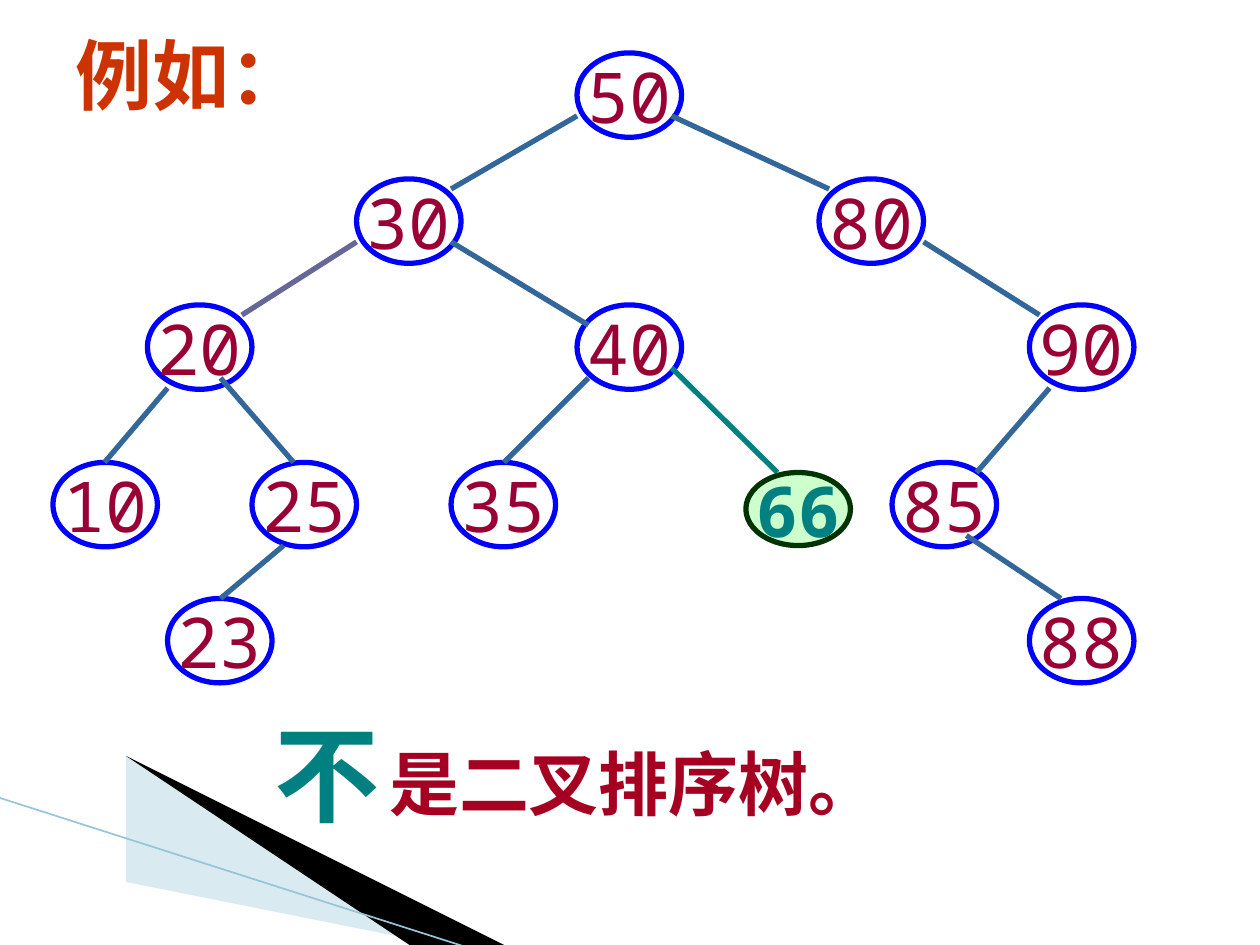
from lxml.etree import SubElement
from pptx import Presentation
from pptx.dml.color import RGBColor
from pptx.enum.shapes import MSO_CONNECTOR as Connector, MSO_SHAPE as Shape
from pptx.enum.text import MSO_ANCHOR as Anchor, MSO_AUTO_SIZE as AutoSize, PP_ALIGN as Align
from pptx.oxml.ns import qn
from pptx.util import Inches, Pt

# Content
HEADING = "例如："
NEGATION = "不"
CONCLUSION = "是二叉排序树。"

# Tree levels: top of the row, then (key, left) of each node
LEVELS = [
    (0.42, [("50", 4.58)]),
    (1.42, [("30", 2.83), ("80", 6.5)]),
    (2.42, [("20", 1.17), ("40", 4.58), ("90", 8.17)]),
    (3.67, [("10", 0.42), ("25", 2), ("35", 3.58), ("85", 7.08)]),
    (4.75, [("23", 1.33), ("88", 8.17)]),
]
MISPLACED = ("66", 5.92, 3.75)

# Branches: start, end, theme colour
BRANCHES = [
    ((4.58, 0.92), (3.58, 1.5), "branch"),
    ((2.83, 1.92), (1.92, 2.5), "branch_alt"),
    ((5.33, 0.92), (6.58, 1.5), "branch"),
    ((3.58, 1.92), (4.67, 2.58), "branch"),
    ((1.33, 3.08), (0.83, 3.67), "branch"),
    ((1.75, 3), (2.33, 3.67), "branch"),
    ((2.25, 4.33), (1.75, 4.75), "branch"),
    ((4.67, 3), (4, 3.67), "branch"),
    ((7.33, 1.92), (8.25, 2.5), "branch"),
    ((8.33, 3.08), (7.75, 3.75), "branch"),
    ((7.67, 4.25), (8.42, 4.75), "branch"),
    ((5.33, 2.92), (6.17, 3.75), "accent"),
]

# Corner decoration: outline points, theme colour, opacity in percent
SWOOSHES = [
    ([(0.55, 6.51), (5.95, 7.51), (4.56, 7.51), (0.55, 6.5)], "swoosh", 40),
    ([(0.61, 6.49), (4.65, 7.51), (3.8, 7.52), (0.62, 6.5)], "swoosh_dark", 100),
]
SWOOSH_EDGE = ((-0.01, 6.33), (3.71, 7.52))

THEME = {
    "font": "Noto Sans Mono",
    "heading_size": 44, "body_size": 40, "negation_size": 60,
    "stroke": 3, "hairline": 0.95,
    "heading": "CC3300", "conclusion": "A50021", "accent": "008080",
    "key": "990033", "ring": "0000FF",
    "misplaced_fill": "CCFFCC", "misplaced_ring": "003300",
    "branch": "336699", "branch_alt": "666699",
    "swoosh": "A0CBDC", "swoosh_dark": "000000", "swoosh_edge": "97C5D8",
}
NODE_WIDTH, NODE_HEIGHT, MISPLACED_HEIGHT = 0.83, 0.67, 0.58


def color(name):
    return RGBColor.from_string(THEME[name])


def write(frame, text, size, ink, bold=False, align=Align.LEFT, anchor=Anchor.TOP):
    frame.text = text
    frame.word_wrap = False
    frame.vertical_anchor = anchor
    paragraph = frame.paragraphs[0]
    paragraph.alignment = align
    font = paragraph.runs[0].font
    font.name, font.size, font.bold = THEME["font"], Pt(THEME[size]), bold
    font.color.rgb = color(ink)
    # East Asian glyphs use the same font
    SubElement(paragraph.runs[0].font._element, qn("a:ea"), typeface=THEME["font"])


def add_line(slide, start, end, ink, width):
    line = slide.shapes.add_connector(
        Connector.STRAIGHT, *(Inches(v) for v in (*start, *end)))
    line.line.color.rgb = color(ink)
    line.line.width = Pt(THEME[width])
    SubElement(line._element.spPr, qn("a:effectLst"))


def add_swoosh(slide, points, ink, opacity):
    builder = slide.shapes.build_freeform(*points[0], scale=Inches(1))
    builder.add_line_segments(points[1:], close=True)
    swoosh = builder.convert_to_shape()
    swoosh.shadow.inherit = False
    swoosh.line.fill.background()
    swoosh.fill.solid()
    swoosh.fill.fore_color.rgb = color(ink)
    if opacity < 100:
        rgb = swoosh._element.spPr.find(".//" + qn("a:srgbClr"))
        SubElement(rgb, qn("a:alpha"), val=str(opacity * 1000))


def add_node(slide, key, left, top, height=NODE_HEIGHT, ink="key",
             ring="ring", fill=None, bold=False):
    node = slide.shapes.add_shape(
        Shape.OVAL, Inches(left), Inches(top), Inches(NODE_WIDTH), Inches(height))
    node.shadow.inherit = False
    if fill:
        node.fill.solid()
        node.fill.fore_color.rgb = color(fill)
    else:
        node.fill.background()
    node.line.color.rgb = color(ring)
    node.line.width = Pt(THEME["stroke"])
    write(node.text_frame, key, "body_size", ink, bold, Align.CENTER, Anchor.MIDDLE)


def add_label(slide, text, box, size, ink):
    label = slide.shapes.add_textbox(*(Inches(v) for v in box))
    write(label.text_frame, text, size, ink, bold=True)


def main():
    deck = Presentation()
    deck.slide_width, deck.slide_height = Inches(10), Inches(7.5)
    slide = deck.slides.add_slide(deck.slide_layouts[5])

    # Heading
    heading = slide.shapes.title
    heading.left, heading.top = Inches(0.5), Inches(0.17)
    heading.width, heading.height = Inches(2.04), Inches(0.83)
    write(heading.text_frame, HEADING, "heading_size", "heading", bold=True)
    heading.text_frame.auto_size = AutoSize.NONE

    # Corner decoration
    for swoosh in SWOOSHES:
        add_swoosh(slide, *swoosh)
    add_line(slide, *SWOOSH_EDGE, "swoosh_edge", "hairline")

    # Tree
    for top, nodes in LEVELS:
        for key, left in nodes:
            add_node(slide, key, left, top)
    for start, end, ink in BRANCHES:
        add_line(slide, start, end, ink, "stroke")
    add_node(slide, *MISPLACED, MISPLACED_HEIGHT, "accent",
             "misplaced_ring", "misplaced_fill", bold=True)

    # Conclusion
    add_label(slide, CONCLUSION, (2.99, 5.83, 4.13, 0.77), "body_size", "conclusion")
    add_label(slide, NEGATION, (2.08, 5.58, 1.04, 1.1), "negation_size", "accent")

    deck.save("out.pptx")


if __name__ == "__main__":
    main()
